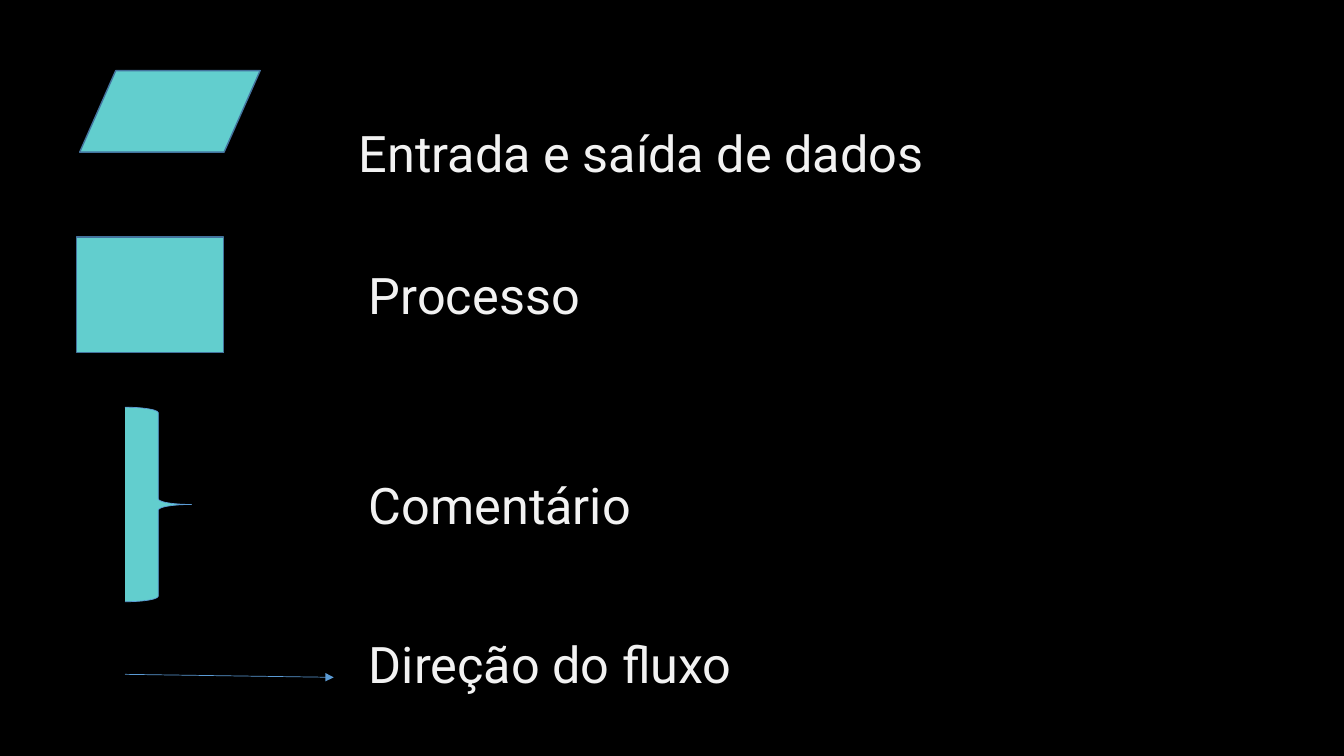
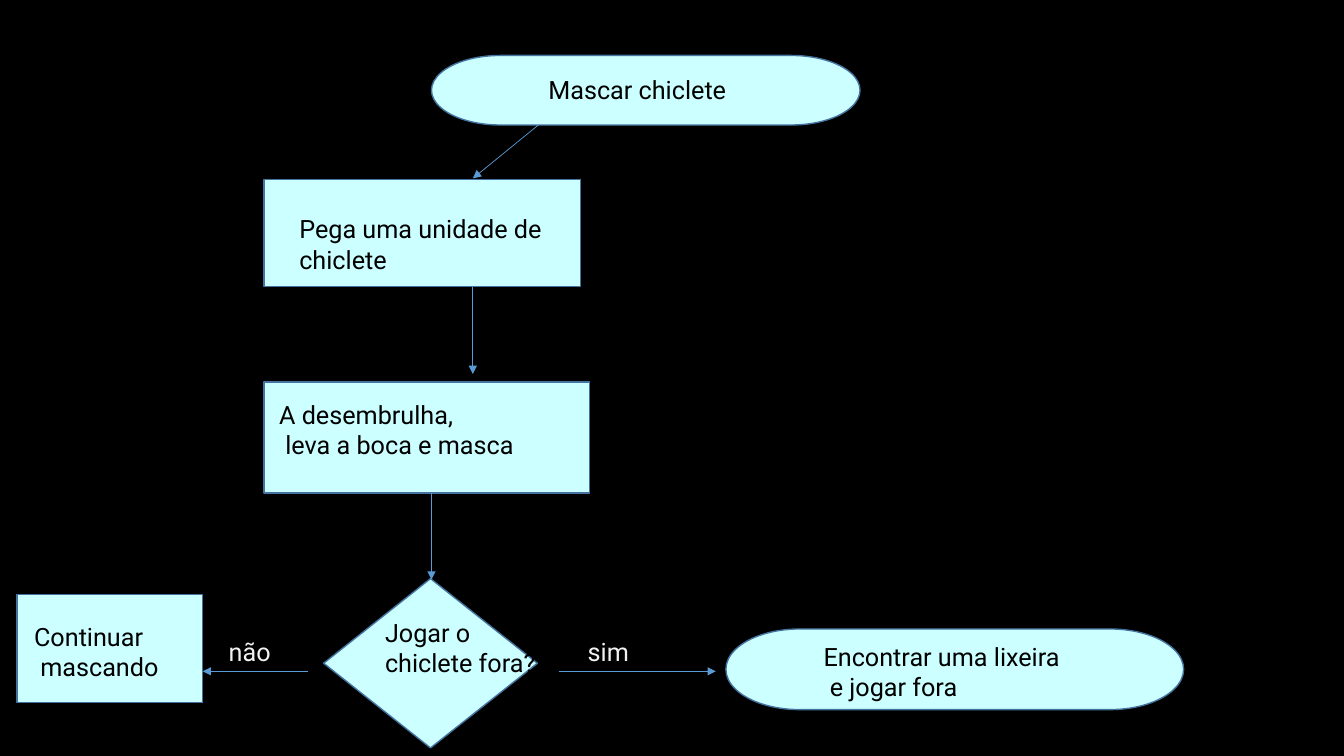
from pptx import Presentation
from pptx.dml.color import RGBColor
from pptx.enum.shapes import MSO_CONNECTOR, MSO_SHAPE as SHAPE
from pptx.oxml.ns import qn
from pptx.util import Inches, Pt
from lxml.etree import SubElement

FONT = "Roboto"
BLACK, WHITE = "000000", "F2F2F2"
TEAL, PALE = "62CECE", "CCFFFF"
OUTLINE, ARROW = "43739E", "5B9BD5"


def colour(hex_text):
    return RGBColor.from_string(hex_text)


def add_page(deck):
    page = deck.slides.add_slide(deck.slide_layouts[6])
    page.background.fill.solid()
    page.background.fill.fore_color.rgb = colour(BLACK)
    return page


def add_symbol(page, kind, box, fill, line=OUTLINE, weight=1):
    symbol = page.shapes.add_shape(kind, *map(Inches, box))
    symbol.shadow.inherit = False
    symbol.fill.solid()
    symbol.fill.fore_color.rgb = colour(fill)
    symbol.line.color.rgb = colour(line)
    symbol.line.width = Pt(weight)


def add_text(page, text, box, size, ink):
    frame = page.shapes.add_textbox(*map(Inches, box)).text_frame
    frame.word_wrap = True
    frame.text = text
    for para in frame.paragraphs:
        for span in para.runs:
            span.font.name = FONT
            span.font.size = Pt(size)
            span.font.color.rgb = colour(ink)


def add_arrow(page, start, end):
    arrow = page.shapes.add_connector(
        MSO_CONNECTOR.STRAIGHT, *map(Inches, start + end))
    arrow.line.color.rgb = colour(ARROW)
    arrow.line.width = Pt(0.5)
    # Arrowhead at the end, and no shadow
    SubElement(arrow.line._get_or_add_ln(), qn("a:tailEnd"), type="triangle")
    SubElement(arrow._element.spPr, qn("a:effectLst"))


def add_step(page, kind, box, text, text_box):
    """Flowchart step; text_box holds offsets from the step, then its size."""
    left, top = box[:2]
    shift_x, shift_y, width, height = text_box
    add_symbol(page, kind, box, PALE)
    add_text(page, text, (left + shift_x, top + shift_y, width, height),
             18, BLACK)


def build_legend(deck):
    page = add_page(deck)

    # Symbols
    add_symbol(page, SHAPE.FLOWCHART_DATA, (0.79, 0.7, 1.79, 0.81), TEAL)
    add_symbol(page, SHAPE.FLOWCHART_PROCESS, (0.76, 2.35, 1.46, 1.15), TEAL)
    add_symbol(page, SHAPE.RIGHT_BRACE, (1.24, 4.04, 0.66, 1.93), TEAL,
               ARROW, 0.5)
    add_arrow(page, (1.24, 6.69), (3.31, 6.72))

    # Meanings
    meanings = [
        ("Entrada e saída de dados", 3.46, 1.16, 7.14),
        ("Processo", 3.56, 2.57, 2.52),
        ("Comentário", 3.56, 4.65, 3.47),
        ("Direção do fluxo", 3.56, 6.23, 4.6),
    ]
    for text, left, top, width in meanings:
        add_text(page, text, (left, top, width, 0.71), 36, WHITE)


def build_flowchart(deck):
    page = add_page(deck)

    # Steps
    steps = [
        (SHAPE.FLOWCHART_TERMINATOR, (4.28, 0.55, 4.25, 0.69),
         "Mascar chiclete", (1.06, 0.14, 2.32, 0.4)),
        (SHAPE.FLOWCHART_PROCESS, (2.62, 1.78, 3.14, 1.06),
         "Pega uma unidade de chiclete", (0.25, 0.29, 2.98, 0.71)),
        (SHAPE.FLOWCHART_PROCESS, (2.62, 3.79, 3.23, 1.1),
         "A desembrulha,\n leva a boca e masca", (0.05, 0.12, 3.36, 0.71)),
        (SHAPE.FLOWCHART_DECISION, (3.21, 5.74, 2.12, 1.68),
         "Jogar o\nchiclete fora?", (0.51, 0.33, 1.72, 1.01)),
        (SHAPE.FLOWCHART_PROCESS, (0.17, 5.9, 1.84, 1.07),
         "Continuar\n mascando", (0.07, 0.21, 1.77, 0.71)),
        (SHAPE.FLOWCHART_TERMINATOR, (7.2, 6.24, 4.54, 0.8),
         "Encontrar uma lixeira\n e jogar fora", (0.87, 0.07, 4.87, 0.71)),
    ]
    for step in steps:
        add_step(page, *step)

    # Flow
    arrows = [
        ((5.34, 1.24), (4.69, 1.77)),
        ((4.69, 2.85), (4.69, 3.71)),
        ((4.28, 4.89), (4.28, 5.75)),
        ((5.54, 6.66), (7.1, 6.66)),
        ((3.05, 6.66), (2.01, 6.66)),
    ]
    for start, end in arrows:
        add_arrow(page, start, end)

    # Answers
    for text, left in (("não", 2.17), ("sim", 5.73)):
        add_text(page, text, (left, 6.26, 0.72, 0.4), 18, WHITE)


deck = Presentation()
deck.slide_width, deck.slide_height = Inches(13.33), Inches(7.5)
build_legend(deck)
build_flowchart(deck)
deck.save("out.pptx")
